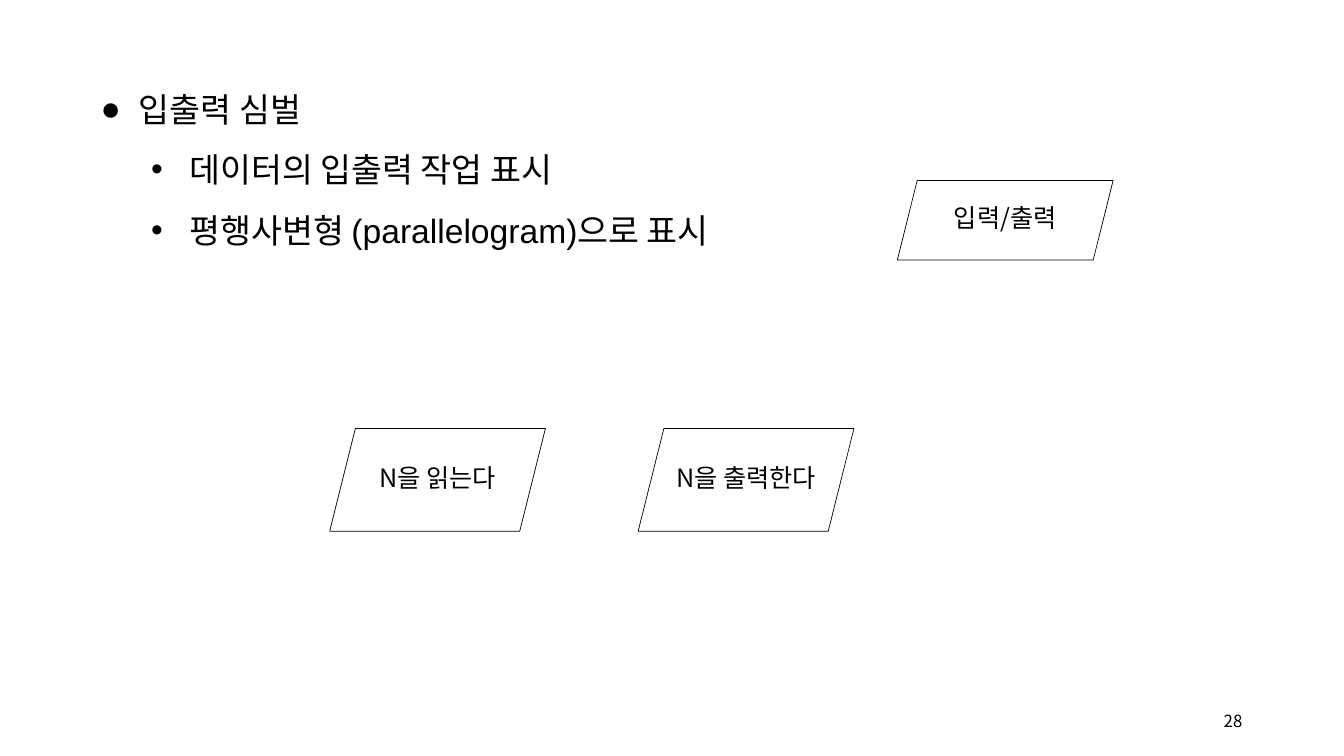
from lxml.etree import SubElement
from pptx import Presentation
from pptx.dml.color import RGBColor
from pptx.enum.shapes import MSO_SHAPE
from pptx.enum.text import MSO_ANCHOR, PP_ALIGN
from pptx.oxml.ns import qn
from pptx.util import Inches, Pt

BLACK = RGBColor(0, 0, 0)
BODY_FONT = "Arial"
KOREAN_FONT = "Noto Sans CJK KR"
BULLETS = [
    (0, "●", "입출력 심벌"),
    (1, "•", "데이터의 입출력 작업 표시"),
    (1, "•", "평행사변형 (parallelogram)으로 표시"),
]
SYMBOLS = [
    ("입력/출력", 8.9, 1.79, 0.79),
    ("N을 출력한다", 6.33, 4.25, 1.02),
    ("N을 읽는다", 3.27, 4.25, 1.02),
]
SYMBOL_WIDTH = 2.14


def set_values(target, values):
    for name, value in values.items():
        setattr(target, name, value)


def add_span(para, text, size, font):
    span = para.add_run()
    span.text = text
    set_values(span.font, {"size": Pt(size), "name": font})
    span.font.color.rgb = BLACK
    SubElement(span.font._element, qn("a:ea"), typeface=KOREAN_FONT)


def add_box(page, left, top, width, height):
    box = page.shapes.add_textbox(Inches(left), Inches(top), Inches(width), Inches(height))
    box.text_frame.word_wrap = True
    return box.text_frame


def add_bullets(page):
    frame = add_box(page, 0.9, 0.63, 7.47, 1.92)
    for index, (level, mark, text) in enumerate(BULLETS):
        para = frame.add_paragraph() if index else frame.paragraphs[0]
        set_values(para, {"level": level, "line_spacing": 1.5})
        properties = para._p.get_or_add_pPr()
        properties.set("marL", str(Inches(0.38 + 0.5 * level)))
        properties.set("indent", str(-Inches(0.38)))
        SubElement(properties, qn("a:buFont"), typeface=BODY_FONT)
        SubElement(properties, qn("a:buChar"), char=mark)
        add_span(para, text, 24, BODY_FONT)


def add_symbol(page, text, left, top, height):
    symbol = page.shapes.add_shape(
        MSO_SHAPE.PARALLELOGRAM, Inches(left), Inches(top), Inches(SYMBOL_WIDTH), Inches(height)
    )
    symbol.shadow.inherit = False
    symbol.fill.background()
    symbol.line.color.rgb = BLACK
    symbol.line.width = Pt(0.5)
    set_values(symbol.text_frame, {
        "margin_left": 0,
        "margin_top": 0,
        "margin_right": 0,
        "margin_bottom": Inches(0.05),
        "vertical_anchor": MSO_ANCHOR.MIDDLE,
        "word_wrap": True,
    })
    para = symbol.text_frame.paragraphs[0]
    para.alignment = PP_ALIGN.CENTER
    add_span(para, text, 18, KOREAN_FONT)


def add_page_number(page):
    frame = add_box(page, 11.94, 6.95, 0.48, 0.4)
    frame.vertical_anchor = MSO_ANCHOR.MIDDLE
    para = frame.paragraphs[0]
    para.alignment = PP_ALIGN.RIGHT
    add_span(para, "28", 12, KOREAN_FONT)


def main():
    deck = Presentation()
    set_values(deck, {"slide_width": Inches(13.33), "slide_height": Inches(7.5)})
    page = deck.slides.add_slide(deck.slide_layouts[6])
    add_page_number(page)
    add_bullets(page)
    for symbol in SYMBOLS:
        add_symbol(page, *symbol)
    deck.save("out.pptx")


if __name__ == "__main__":
    main()
